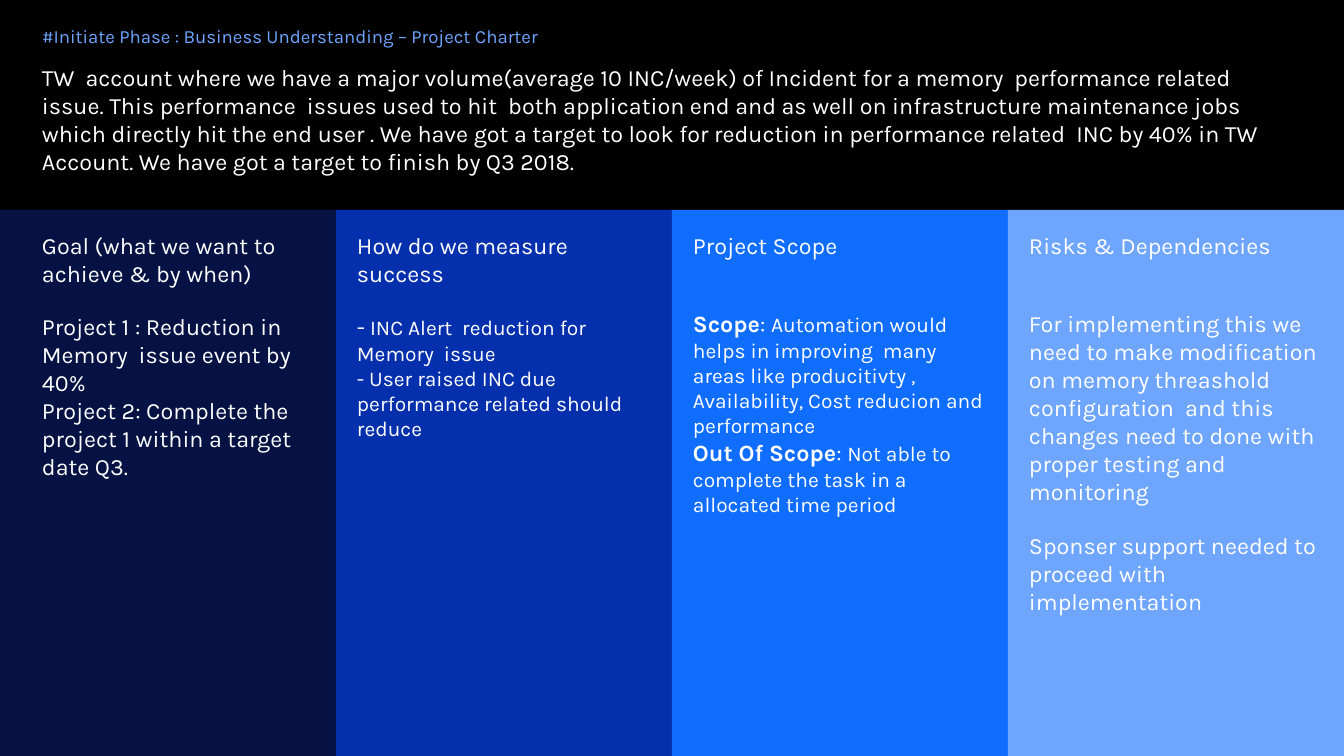
from dataclasses import dataclass

from pptx import Presentation
from pptx.dml.color import RGBColor
from pptx.enum.shapes import MSO_SHAPE
from pptx.enum.text import MSO_ANCHOR, MSO_AUTO_SIZE, PP_ALIGN
from pptx.util import Inches, Pt


@dataclass(frozen=True)
class Theme:
    font: str = "Karla"
    background: str = "000000"
    text: str = "FFFFFF"
    accent: str = "6EA6FF"
    columns: tuple = ("051243", "0530AD", "0F6DFF", "6EA6FF")
    title: int = 16
    body: int = 20
    small: int = 18
    gap: float = 21.6


THEME = Theme()
BODY, SMALL, GAP = THEME.body, THEME.small, THEME.gap

TITLE = "#Initiate Phase : Business Understanding – Project Charter"
SUMMARY = (
    "TW  account where we have a major volume(average 10 INC/week) of Incident "
    "for a memory  performance related  issue. This performance  issues used to "
    "hit  both application end and as well on infrastructure maintenance jobs "
    "which directly hit the end user . We have got a target to look for reduction "
    "in performance related  INC by 40% in TW  Account. We have got a target to "
    "finish by Q3 2018."
)
COLUMNS = [
    [
        (0, [("Goal (what we want to achieve & by when)", BODY, False)]),
        (GAP, [("Project 1 : Reduction in Memory  issue event by  40%", BODY, False)]),
        (0, [("Project 2: Complete the project 1 within a target date Q3.", BODY, False)]),
    ],
    [
        (0, [("How do we measure success", BODY, False)]),
        (GAP, [("-", BODY, False),
               (" INC Alert  reduction for Memory  issue", SMALL, False)]),
        (0, [("- User raised INC due performance related should reduce", SMALL, False)]),
    ],
    [
        (0, [("Project Scope", BODY, False)]),
        (2 * GAP, [("Scope", BODY, True), (": ", BODY, False),
                   ("Automation would helps in improving  many areas like producitivty , "
                    "Availability, Cost reducion and performance", SMALL, False)]),
        (0, [("Out Of Scope", BODY, True), (": ", BODY, False),
             ("Not able to complete the task in a allocated time period", SMALL, False)]),
    ],
    [
        (0, [("Risks & Dependencies", BODY, False)]),
        (2 * GAP, [("For implementing this we need to make modification on memory "
                    "threashold configuration  and this changes need to done with "
                    "proper testing and monitoring", BODY, False)]),
        (GAP, [("Sponser support needed to proceed with implementation", BODY, False)]),
    ],
]


class SlideBuilder:
    """Draws styled elements on one slide."""

    def __init__(self, prs, theme):
        self.theme = theme
        self.slide = prs.slides.add_slide(prs.slide_layouts[5])
        fill = self.slide.background.fill
        fill.solid()
        fill.fore_color.rgb = RGBColor.from_string(theme.background)

    def place(self, sp, left, top, width, height):
        sp.left, sp.top = Inches(left), Inches(top)
        sp.width, sp.height = Inches(width), Inches(height)

    def frame(self, tf, left=0, top=0, right=0):
        tf.word_wrap = True
        tf.auto_size = MSO_AUTO_SIZE.NONE
        tf.vertical_anchor = MSO_ANCHOR.TOP
        tf.margin_left, tf.margin_top = Inches(left), Inches(top)
        tf.margin_right, tf.margin_bottom = Inches(right), 0

    def style(self, r, size, color, bold=False):
        r.font.name = self.theme.font
        r.font.size = Pt(size)
        r.font.bold = bold
        r.font.color.rgb = RGBColor.from_string(color)

    def line(self, tf, text, size, color):
        self.frame(tf)
        tf.text = text
        p = tf.paragraphs[0]
        p.alignment = PP_ALIGN.LEFT
        self.style(p.runs[0], size, color)

    def title(self, text, *box):
        sp = self.slide.shapes.title
        self.place(sp, *box)
        self.line(sp.text_frame, text, self.theme.title, self.theme.accent)

    def text(self, text, *box):
        sp = self.slide.shapes.add_textbox(*map(Inches, box))
        self.line(sp.text_frame, text, self.theme.body, self.theme.text)

    def column(self, paragraphs, color, inset, *box):
        sp = self.slide.shapes.add_shape(MSO_SHAPE.RECTANGLE, *map(Inches, box))
        sp.shadow.inherit = False
        sp.fill.solid()
        sp.fill.fore_color.rgb = RGBColor.from_string(color)
        sp.line.fill.background()
        tf = sp.text_frame
        self.frame(tf, inset, 0.25, 0.25)
        for i, (before, runs) in enumerate(paragraphs):
            p = tf.add_paragraph() if i else tf.paragraphs[0]
            p.alignment = PP_ALIGN.LEFT
            p.space_before = Pt(before)
            for text, size, bold in runs:
                r = p.add_run()
                r.text = text
                self.style(r, size, self.theme.text, bold)


def main():
    prs = Presentation()
    prs.slide_width, prs.slide_height = Inches(16), Inches(9)
    s = SlideBuilder(prs, THEME)
    s.title(TITLE, 0.5, 0.29, 7.2, 0.3)
    s.text(SUMMARY, 0.5, 0.75, 15, 1.6)
    width = 16 / len(COLUMNS)
    for i, (paragraphs, color) in enumerate(zip(COLUMNS, THEME.columns)):
        inset = 0.25 if i else 0.5
        s.column(paragraphs, color, inset, i * width, 2.5, width, 6.5)
    prs.save("out.pptx")


if __name__ == "__main__":
    main()
